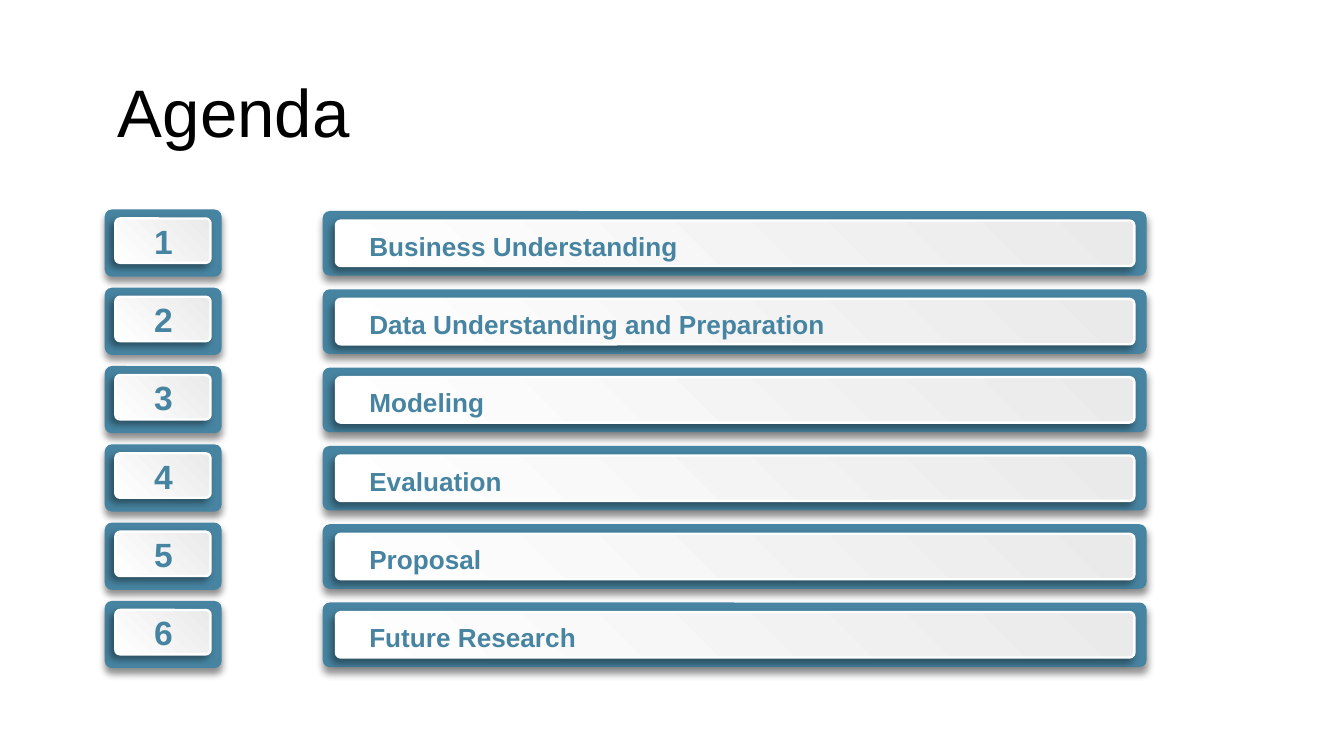
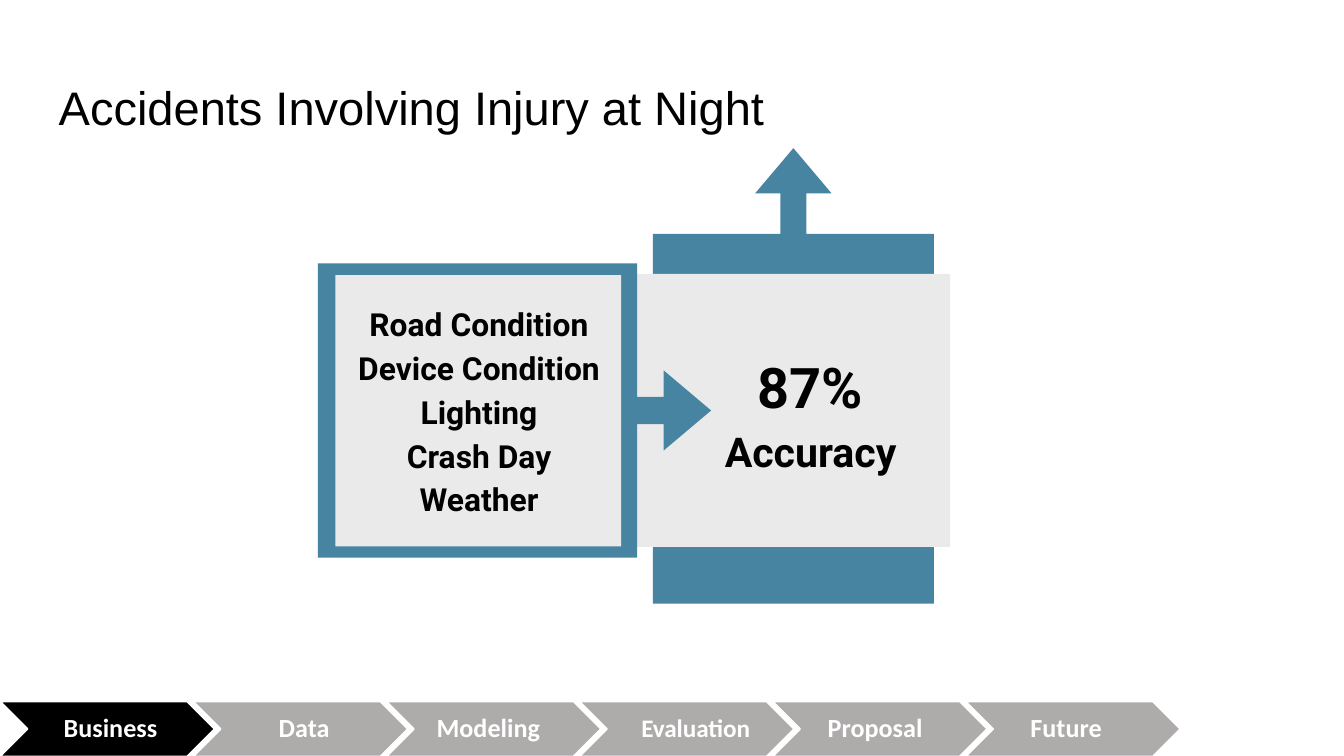
from lxml.etree import SubElement
from pptx import Presentation
from pptx.dml.color import RGBColor
from pptx.enum.shapes import MSO_SHAPE
from pptx.enum.text import MSO_ANCHOR, PP_ALIGN
from pptx.oxml.ns import qn
from pptx.util import Cm, Pt

BLUE, GREY, SILVER, BLACK, WHITE = "4784A1", "EAEAEA", "AEABAB", "000000", "FFFFFF"

AGENDA = [
    "Business Understanding",
    "Data Understanding and Preparation",
    "Modeling",
    "Evaluation",
    "Proposal",
    "Future Research",
]
AGENDA_TOP, AGENDA_PITCH = 3.96, 1.48

FACTORS = ["Road Condition", "Device Condition", "Lighting", "Crash Day", "Weather"]
RESULT = [("87%", 30), ("Accuracy", 22)]
CALLOUT_ADJ = (0.093, 0.136, 0.161, 0.812)

# label, left of the label, text size
STEPS = [
    ("Business", 0.66, 14),
    ("Data", 4.32, 14),
    ("Modeling", 7.8, 14),
    ("Evaluation", 11.72, 13.5),
    ("Proposal", 15.11, 14),
    ("Future", 18.72, 14),
]
STEP_TOP, STEP_PITCH, STEP_W, STEP_H = 13.26, 3.65, 4.06, 1.04


def rgb(color):
    return RGBColor.from_string(color)


def add_text(s, box, lines, size=14, font="Arial", color=BLACK, bold=False,
             align=PP_ALIGN.LEFT, anchor=MSO_ANCHOR.TOP, spacing=None,
             insets=(0.25, 0.13, 0.25, 0.13)):
    """Add a text box; each line is a string or a (string, size) pair."""
    tf = s.shapes.add_textbox(*map(Cm, box)).text_frame
    tf.word_wrap = True
    tf.vertical_anchor = anchor
    tf.margin_left, tf.margin_top, tf.margin_right, tf.margin_bottom = map(Cm, insets)
    for i, line in enumerate(lines):
        text, points = (line, size) if isinstance(line, str) else line
        p = tf.add_paragraph() if i else tf.paragraphs[0]
        p.alignment = align
        if spacing:
            p.line_spacing = spacing
        r = p.add_run()
        r.text = text
        r.font.name, r.font.size, r.font.bold = font, Pt(points), bold
        r.font.color.rgb = rgb(color)


def add_box(s, kind, box, fill, line=None, adj=()):
    """Add a preset shape without shadow; line is (colour, points)."""
    sp = s.shapes.add_shape(kind, *map(Cm, box))
    sp.shadow.inherit = False
    for i, value in enumerate(adj):
        sp.adjustments[i] = value
    sp.fill.solid()
    sp.fill.fore_color.rgb = rgb(fill)
    if line:
        sp.line.color.rgb = rgb(line[0])
        sp.line.width = Pt(line[1])
    else:
        sp.line.fill.background()
    return sp


def add_shadow(sp, opacity, angle):
    effects = sp._element.spPr.find(qn("a:effectLst"))
    shadow = SubElement(effects, qn("a:outerShdw"), blurRad=str(Pt(4)), dist=str(Pt(3)),
                        dir=str(angle * 60000), algn="ctr", rotWithShape="0")
    color = SubElement(shadow, qn("a:srgbClr"), val=BLACK)
    SubElement(color, qn("a:alpha"), val=str(opacity * 1000))


def add_plate(s, outer, inner):
    """Add a blue rounded frame with a shaded white panel in it."""
    frame = add_box(s, MSO_SHAPE.ROUNDED_RECTANGLE, outer, BLUE, adj=(0.107,))
    add_shadow(frame, 43, 90)
    panel = add_box(s, MSO_SHAPE.ROUNDED_RECTANGLE, inner, WHITE, (WHITE, 1.25), (0.107,))
    panel.fill.gradient()
    panel.fill.gradient_angle = 225
    for stop, color, position in zip(panel.fill.gradient_stops, (GREY, WHITE), (0, 1)):
        stop.color.rgb = rgb(color)
        stop.position = position
    add_shadow(panel, 40, 135)


def add_agenda(s):
    label = dict(color=BLUE, bold=True)
    for i, topic in enumerate(AGENDA):
        y = AGENDA_TOP + i * AGENDA_PITCH
        add_plate(s, (1.98, y, 2.21, 1.27), (2.18, y + 0.17, 1.8, 0.84))
        add_text(s, (2.24, y + 0.08, 1.7, 1.02), [str(i + 1)], size=18,
                 align=PP_ALIGN.CENTER, anchor=MSO_ANCHOR.MIDDLE, **label)
        add_plate(s, (6.1, y + 0.03, 15.57, 1.22), (6.35, y + 0.21, 15.09, 0.86))
        add_text(s, (6.73, y + 0.26, 14.45, 0.86), [topic], **label)


def add_model(s):
    body = dict(font="Roboto", bold=True, align=PP_ALIGN.CENTER, spacing=1.15,
                insets=(0.25,) * 4)
    callout = MSO_SHAPE.RIGHT_ARROW_CALLOUT
    up = add_box(s, callout, (10.69, 4.45, 8.61, 5.31), BLUE, adj=CALLOUT_ADJ)
    up.rotation = 270
    add_box(s, MSO_SHAPE.RECTANGLE, (12.04, 5.18, 5.92, 5.16), GREY)
    add_text(s, (12.83, 6.22, 4.98, 1.57), RESULT, **body)
    add_box(s, callout, (6.01, 4.98, 7.43, 5.56), BLUE, adj=CALLOUT_ADJ)
    add_box(s, MSO_SHAPE.RECTANGLE, (6.34, 5.2, 5.4, 5.13), GREY)
    add_text(s, (6.07, 5.41, 5.97, 2.03), FACTORS, size=17, **body)


def add_steps(s, current):
    for i, (name, left, size) in enumerate(STEPS):
        add_box(s, MSO_SHAPE.CHEVRON, (i * STEP_PITCH, STEP_TOP, STEP_W, STEP_H),
                BLACK if name == current else SILVER, (WHITE, 1), (0.5,))
        add_text(s, (left, STEP_TOP, 2.69, STEP_H), [name], size=size, font="Calibri",
                 color=WHITE, bold=True, align=PP_ALIGN.CENTER,
                 anchor=MSO_ANCHOR.MIDDLE, spacing=0.9, insets=(0.25, 0.08, 0.08, 0.08))


def main():
    prs = Presentation()
    prs.slide_width, prs.slide_height = Cm(25.4), Cm(14.29)
    blank = prs.slide_layouts[6]

    s = prs.slides.add_slide(blank)
    add_text(s, (1.98, 1.3, 19.1, 1.6), ["Agenda"], size=36, anchor=MSO_ANCHOR.MIDDLE)
    add_agenda(s)

    s = prs.slides.add_slide(blank)
    add_text(s, (0.86, 1.24, 23.67, 1.6), ["Accidents Involving Injury at Night"],
             size=25.2, insets=(0.25,) * 4)
    add_model(s)
    add_steps(s, "Business")

    prs.save("out.pptx")


if __name__ == "__main__":
    main()
